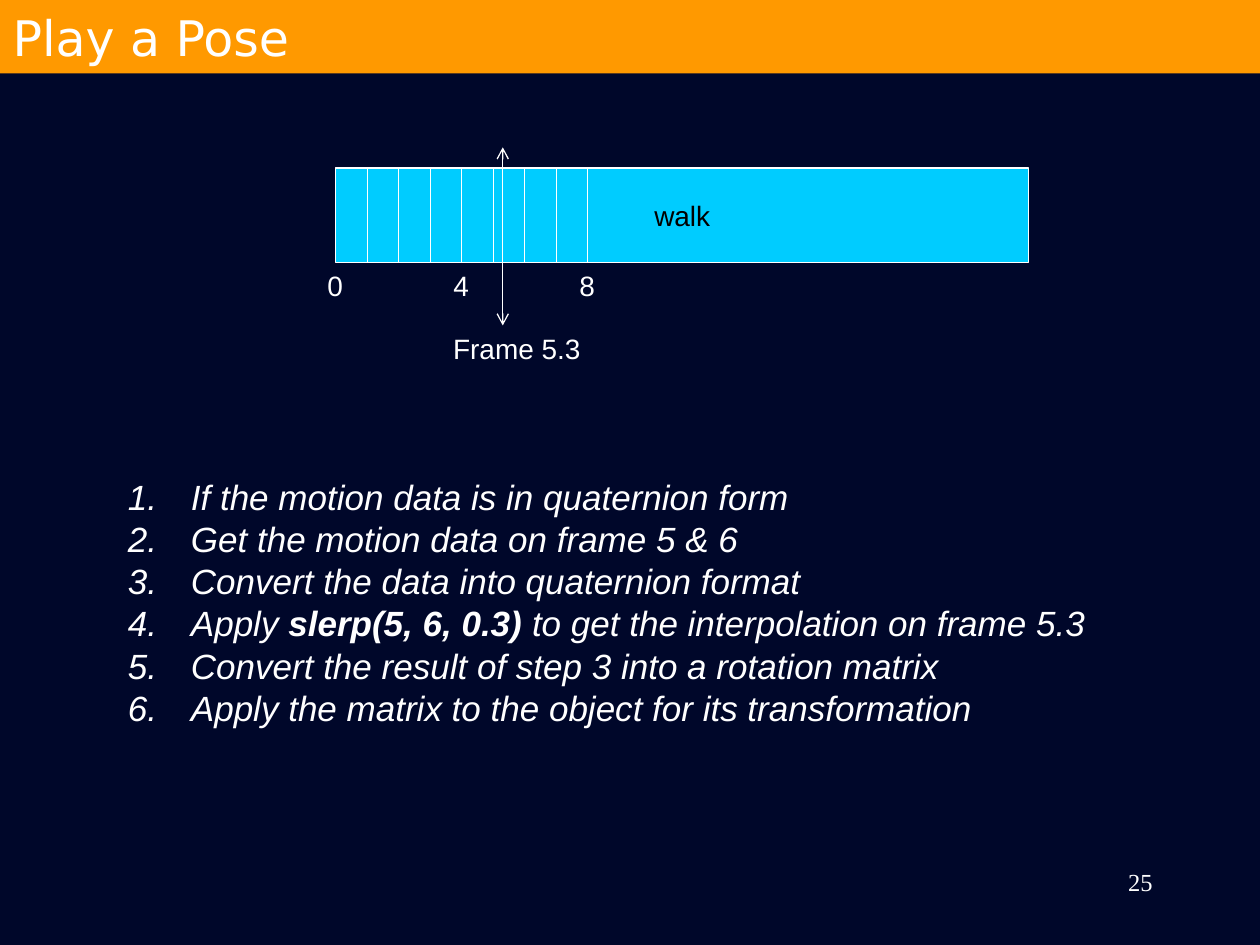
from lxml import etree
from pptx import Presentation
from pptx.dml.color import RGBColor
from pptx.enum.shapes import MSO_CONNECTOR, MSO_SHAPE
from pptx.enum.text import MSO_ANCHOR, MSO_AUTO_SIZE, PP_ALIGN
from pptx.oxml.ns import qn
from pptx.util import Cm, Pt

STRAIGHT = MSO_CONNECTOR.STRAIGHT
RECT = MSO_SHAPE.RECTANGLE
MIDDLE = MSO_ANCHOR.MIDDLE
NO_FIT, GROW = MSO_AUTO_SIZE.NONE, MSO_AUTO_SIZE.SHAPE_TO_FIT_TEXT
LEFT, CENTER, RIGHT = PP_ALIGN.LEFT, PP_ALIGN.CENTER, PP_ALIGN.RIGHT

NAVY = RGBColor(0x00, 0x07, 0x2A)
ORANGE = RGBColor(0xFF, 0x99, 0x00)
CYAN = RGBColor(0x00, 0xCC, 0xFF)
WHITE = RGBColor(0xFF, 0xFF, 0xFF)
BLACK = RGBColor(0x00, 0x00, 0x00)

BAR_FRAMES = 22
STEPS = [
    ["If the motion data is in quaternion form"],
    ["Get the motion data on frame 5 & 6"],
    ["Convert the data into quaternion format"],
    ["Apply ", "slerp(5, 6, 0.3)", " to get the interpolation on frame 5.3"],
    ["Convert the result of step 3 into a rotation matrix"],
    ["Apply the matrix to the object for its transformation"],
]


def write(p, text, size=16, font="Arial", color=WHITE, align=LEFT, bold=False, italic=False):
    """Append a formatted run to a paragraph."""
    p.alignment = align
    r = p.add_run()
    r.text = text
    r.font.size, r.font.name = Pt(size), font
    r.font.bold, r.font.italic = bold, italic
    r.font.color.rgb = color


def add_box(s, left, top, width, height, wrap=True, fit=GROW):
    """Add an empty text box, measured in centimetres, and return its frame."""
    tf = s.shapes.add_textbox(Cm(left), Cm(top), Cm(width), Cm(height)).text_frame
    tf.word_wrap, tf.auto_size = wrap, fit
    return tf


def add_line(s, x, top, bottom, arrows=False):
    """Draw a thin vertical line, optionally with an arrowhead at both ends."""
    line = s.shapes.add_connector(STRAIGHT, Cm(x), Cm(top), Cm(x), Cm(bottom))
    line.line.color.rgb = WHITE
    line.line.width = Pt(0.75)
    if arrows:
        ln = line.line._get_or_add_ln()
        for end in ("a:headEnd", "a:tailEnd"):
            etree.SubElement(ln, qn(end), type="arrow")
    etree.SubElement(line._element.spPr, qn("a:effectLst"))


def add_title(s, left, top, width, height):
    """Turn the title placeholder into the orange band."""
    sp = s.shapes.title
    sp.left, sp.top, sp.width, sp.height = Cm(left), Cm(top), Cm(width), Cm(height)
    sp.fill.solid()
    sp.fill.fore_color.rgb = ORANGE
    tf = sp.text_frame
    tf.vertical_anchor, tf.auto_size = MIDDLE, NO_FIT
    write(tf.paragraphs[0], "Play a Pose", size=28, font="DejaVu Sans")


def add_timeline(s, left, top, width, height):
    """Draw the walk clip with its frame ticks, labels and current-frame marker."""
    frame = width / BAR_FRAMES
    bottom = top + height
    sp = s.shapes.add_shape(RECT, Cm(left), Cm(top), Cm(width), Cm(height))
    sp.shadow.inherit = False
    sp.fill.solid()
    sp.fill.fore_color.rgb = CYAN
    sp.line.color.rgb = WHITE
    sp.line.width = Pt(0.75)
    tf = sp.text_frame
    tf.word_wrap, tf.vertical_anchor = False, MIDDLE
    write(tf.paragraphs[0], "walk", color=BLACK, align=CENTER)

    for i in range(1, 9):
        add_line(s, left + i * frame, top, bottom)
    for i in (0, 4, 8):
        tf = add_box(s, left + i * frame - 0.42, bottom, 0.81, 0.94, wrap=False)
        write(tf.paragraphs[0], str(i))

    marker = left + 5.3 * frame
    add_line(s, marker, top - 0.42, bottom + 1.27, arrows=True)
    tf = add_box(s, marker - 1.25, bottom + 1.27, 3.07, 0.94, wrap=False)
    write(tf.paragraphs[0], "Frame 5.3")


def add_steps(s, left, top, width, height):
    """List the numbered steps, with the function call in bold."""
    tf = add_box(s, left, top, width, height)
    for i, parts in enumerate(STEPS):
        p = tf.add_paragraph() if i else tf.paragraphs[0]
        pPr = p._p.get_or_add_pPr()
        pPr.set("marL", str(Cm(1.27)))
        pPr.set("indent", str(-Cm(1.27)))
        etree.SubElement(pPr, qn("a:buFont"), typeface="Arial")
        etree.SubElement(pPr, qn("a:buAutoNum"), type="arabicPeriod")
        for text in parts:
            write(p, text, size=20, italic=True, bold=text.startswith("slerp"))


def add_page_number(s, left, top, width, height):
    """Place the page number at the lower right."""
    tf = add_box(s, left, top, width, height, fit=NO_FIT)
    write(tf.paragraphs[0], "25", size=14, font="Times New Roman", align=RIGHT)


def main():
    """Build and save the slide."""
    prs = Presentation()
    prs.slide_width, prs.slide_height = Cm(25.4), Cm(19.05)
    s = prs.slides.add_slide(prs.slide_layouts[5])
    s.background.fill.solid()
    s.background.fill.fore_color.rgb = NAVY
    add_title(s, 0, 0, 25.4, 1.48)
    add_timeline(s, 6.77, 3.39, 13.97, 1.9)
    add_steps(s, 2.33, 9.47, 22.43, 5.33)
    add_page_number(s, 18.2, 17.35, 5.29, 1.27)
    prs.save("out.pptx")


if __name__ == "__main__":
    main()
